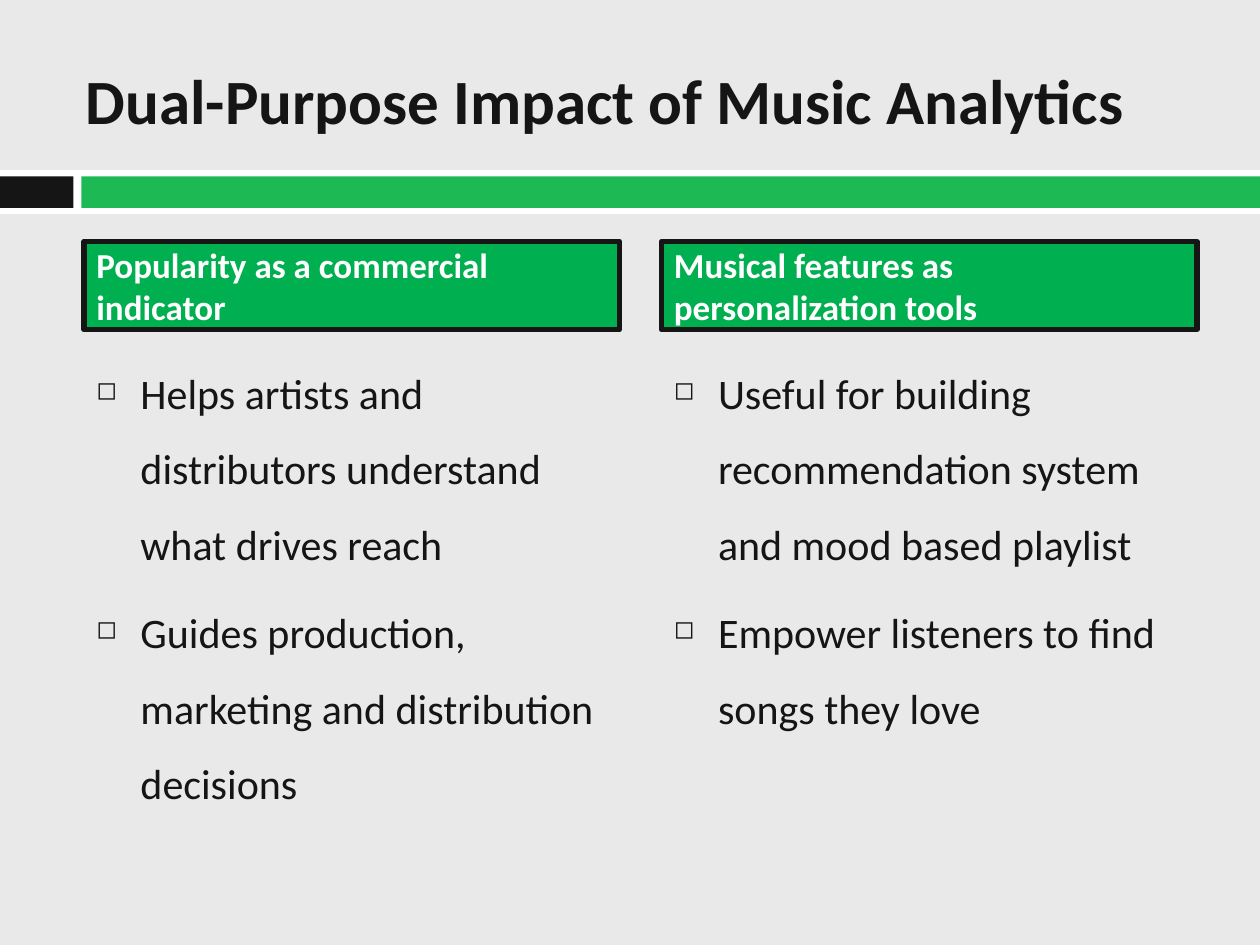
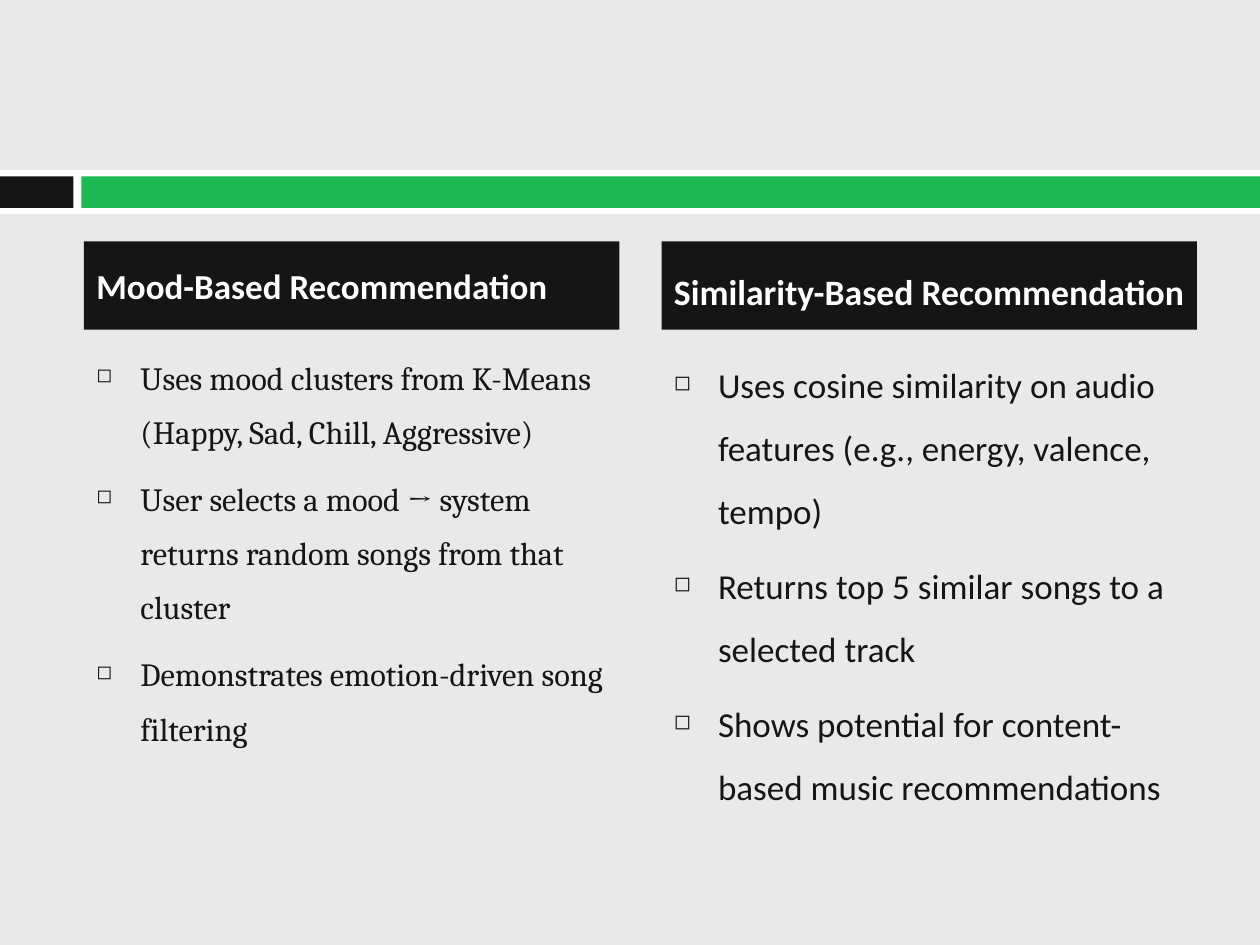
"""Build two slides that compare music ideas in two columns."""
from lxml.etree import SubElement
from pptx import Presentation
from pptx.dml.color import RGBColor
from pptx.enum.shapes import MSO_SHAPE
from pptx.enum.text import MSO_ANCHOR, PP_ALIGN
from pptx.oxml.ns import qn
from pptx.util import Pt

HUES = {"page": "E9E9E9", "ink": "151515", "white": "FFFFFF",
        "band": "1DB954", "green": "00B050"}
LEFTS = (48, 378)
WIDE = 306
BANDS = (("white", 0, 97.2, 720, 25.2), ("ink", 0, 100.8, 42, 18),
         ("band", 46.5, 100.8, 673.5, 18))
TITLE = {"name": "Calibri", "size": Pt(36), "bold": True}
HEAD = {"name": "Calibri", "size": Pt(20), "bold": True}
BODY = {"name": "Calibri", "size": Pt(24)}

PAGES = (
    {"title": "Dual-Purpose Impact of Music Analytics", "fill": "green", "edge": 3,
     "parts": (
         {"head": "Popularity as a commercial indicator",
          "items": ("Helps artists and distributors understand what drives reach",
                    "Guides production, marketing and distribution decisions")},
         {"head": "Musical features as personalization tools",
          "items": ("Useful for building recommendation system and mood based playlist",
                    "Empower listeners to find songs they love")})},
    {"title": None, "fill": "ink", "edge": 0,
     "parts": (
         {"head": "Mood-Based Recommendation",
          "items": ("Uses mood clusters from K-Means (Happy, Sad, Chill, Aggressive)",
                    "User selects a mood → system returns random songs from that cluster",
                    "Demonstrates emotion-driven song filtering"),
          "body": {"name": "Cambria", "size": Pt(18.5)}, "pitch": 1.4},
         {"head": "Similarity-Based Recommendation",
          "items": ("Uses cosine similarity on audio features (e.g., energy, valence, tempo)",
                    "Returns top 5 similar songs to a selected track",
                    "Shows potential for content-based music recommendations"),
          "font": {"size": Pt(20.4)}, "body": {"size": Pt(20)},
          "frame": {"margin_top": Pt(10.4), "margin_right": Pt(3.6)}})},
)


def dress(item, form):
    """Set each format value on the item."""
    for key, value in form.items():
        setattr(item, key, value)


class Deck:
    """Hold the style and the current slide."""

    def __init__(self):
        """Start an empty deck."""
        self.show = Presentation()
        dress(self.show, {"slide_width": Pt(720), "slide_height": Pt(540)})
        self.slide = None

    def tint(self, hue):
        """Return the named colour."""
        return RGBColor.from_string(HUES[hue])

    def page(self):
        """Add a slide with its bands."""
        self.slide = self.show.slides.add_slide(self.show.slide_layouts[6])
        fill = self.slide.background.fill
        fill.solid()
        fill.fore_color.rgb = self.tint("page")
        for band in BANDS:
            self.block(*band)

    def block(self, hue, left, top, width, height, edge=0):
        """Add a filled rectangle."""
        shape = self.slide.shapes.add_shape(
            MSO_SHAPE.RECTANGLE, Pt(left), Pt(top), Pt(width), Pt(height))
        shape.shadow.inherit = False
        shape.fill.solid()
        shape.fill.fore_color.rgb = self.tint(hue)
        if edge:
            shape.line.color.rgb = self.tint("ink")
            shape.line.width = Pt(edge)
        else:
            shape.line.fill.background()
        return shape

    def box(self, left, top, width, height):
        """Add an empty text box."""
        return self.slide.shapes.add_textbox(Pt(left), Pt(top), Pt(width), Pt(height))

    def put(self, shape, lines, font, hue="ink", frame=None, para=None):
        """Fill a shape with paragraphs and return them."""
        text = shape.text_frame
        dress(text, {"word_wrap": True, "vertical_anchor": MSO_ANCHOR.MIDDLE, **(frame or {})})
        for spot, line in enumerate(lines):
            item = text.add_paragraph() if spot else text.paragraphs[0]
            dress(item, {"alignment": PP_ALIGN.LEFT, **(para or {})})
            if spot:
                item.space_before = Pt(7)
            run = item.add_run()
            run.text = line
            dress(run.font, font)
            run.font.color.rgb = self.tint(hue)
        return text.paragraphs

    def title(self, line):
        """Add the slide title."""
        self.put(self.box(42, 24, 642, 66), [line], TITLE)

    def head(self, left, part, fill, edge):
        """Add a column heading."""
        shape = self.block(fill, left, 138, WIDE, 50.4, edge)
        self.put(shape, [part["head"]], {**HEAD, **part.get("font", {})},
                 "white", part.get("frame"))

    def points(self, left, part):
        """Add a bullet list."""
        lines = self.put(self.box(left, 192, WIDE, 282), part["items"],
                         {**BODY, **part.get("body", {})},
                         frame={"vertical_anchor": MSO_ANCHOR.TOP},
                         para={"line_spacing": part.get("pitch", 1.5)})
        for line in lines:
            props = line._p.get_or_add_pPr()
            props.set("marL", str(Pt(25.2)))
            props.set("indent", str(-Pt(25.2)))
            color = SubElement(props, qn("a:buClr"))
            SubElement(color, qn("a:srgbClr"), val=HUES["ink"])
            SubElement(props, qn("a:buSzPct"), val="60000")
            SubElement(props, qn("a:buChar"), char="◻")


def main():
    """Build and save the deck."""
    deck = Deck()
    for page in PAGES:
        deck.page()
        if page["title"]:
            deck.title(page["title"])
        for left, part in zip(LEFTS, page["parts"]):
            deck.points(left, part)
            deck.head(left, part, page["fill"], page["edge"])
    deck.show.save("out.pptx")


if __name__ == "__main__":
    main()
